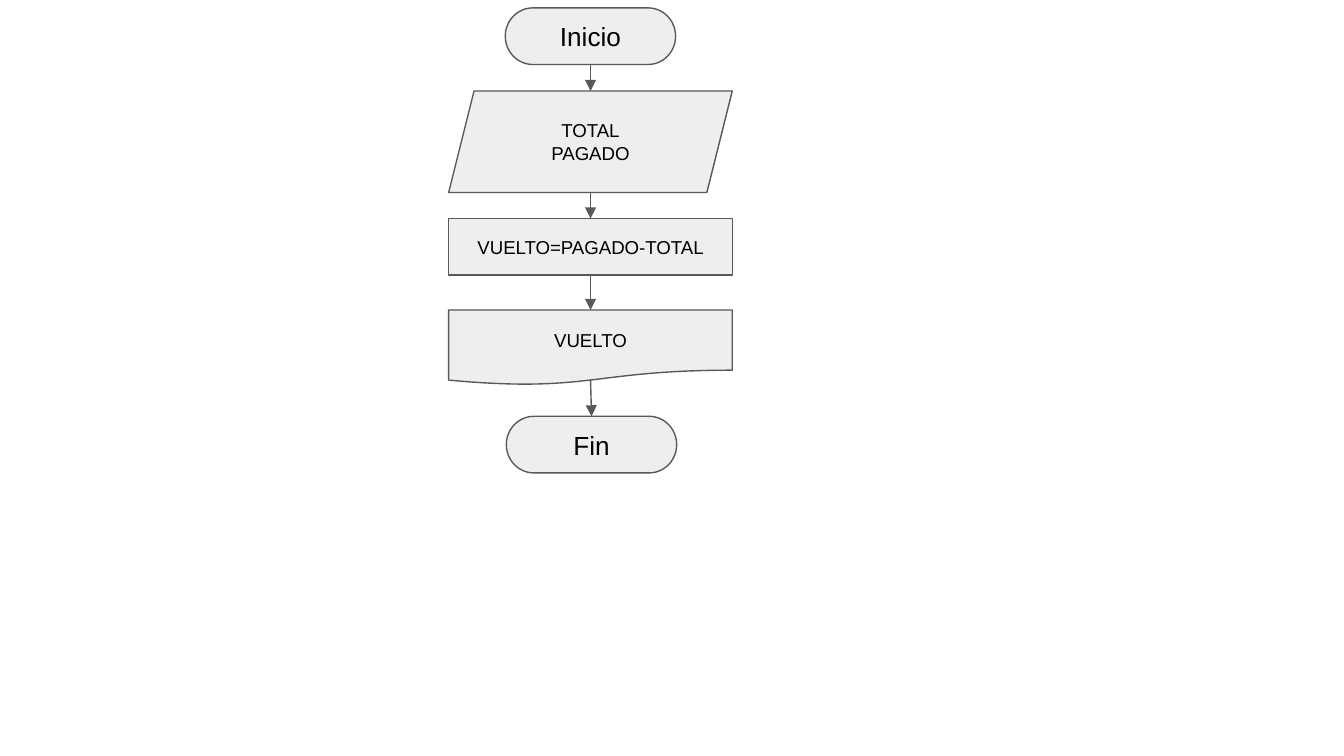
from lxml import etree
from pptx import Presentation, util as u
from pptx.dml.color import RGBColor
from pptx.enum import shapes, text
from pptx.oxml.ns import qn

THEME = {
    "font": "Arial",
    "fill": RGBColor.from_string("EEEEEE"),
    "line": RGBColor.from_string("595959"),
    "ink": RGBColor.from_string("000000"),
    "line_width": u.Pt(0.75),
    "terminal_size": u.Pt(14),
    "step_size": u.Pt(10),
}

# Centimetres
SLIDE_SIZE = (25.4, 14.29)
INSET = 0.25
WIDTHS = {"terminal": 3.22, "step": 5.36}
DOCUMENT_EXIT = 0.93  # share of the height where the wavy edge crosses the centre

KIND = shapes.MSO_SHAPE
# preset, role, lines, centre x, top, height
STEPS = [
    (KIND.FLOWCHART_TERMINATOR, "terminal", ["Inicio"], 11.16, 0.15, 1.07),
    (KIND.PARALLELOGRAM, "step", ["TOTAL", "PAGADO"], 11.16, 1.72, 1.92),
    (KIND.RECTANGLE, "step", ["VUELTO=PAGADO-TOTAL"], 11.16, 4.13, 1.07),
    (KIND.FLOWCHART_DOCUMENT, "step", ["VUELTO"], 11.16, 5.86, 1.42),
    (KIND.FLOWCHART_TERMINATOR, "terminal", ["Fin"], 11.18, 7.87, 1.07),
]


def style_line(line):
    line.color.rgb = THEME["line"]
    line.width = THEME["line_width"]


def add_step(slide, preset, role, lines, center, top, height):
    width = WIDTHS[role]
    step = slide.shapes.add_shape(
        preset, u.Cm(center - width / 2), u.Cm(top), u.Cm(width), u.Cm(height))
    step.shadow.inherit = False
    step.fill.solid()
    step.fill.fore_color.rgb = THEME["fill"]
    style_line(step.line)

    frame = step.text_frame
    frame.word_wrap = True
    frame.vertical_anchor = text.MSO_ANCHOR.MIDDLE
    frame.margin_left = frame.margin_right = u.Cm(INSET)
    frame.margin_top = frame.margin_bottom = u.Cm(INSET)
    for index, label in enumerate(lines):
        paragraph = frame.add_paragraph() if index else frame.paragraphs[0]
        paragraph.alignment = text.PP_ALIGN.CENTER
        run = paragraph.add_run()
        run.text = label
        run.font.name = THEME["font"]
        run.font.size = THEME[f"{role}_size"]
        run.font.color.rgb = THEME["ink"]


def add_arrow(slide, start, end):
    arrow = slide.shapes.add_connector(
        shapes.MSO_CONNECTOR.STRAIGHT, *map(u.Cm, start + end))
    style_line(arrow.line)
    outline = arrow.line._get_or_add_ln()
    etree.SubElement(outline, qn("a:tailEnd"), type="triangle", w="med", len="med")
    etree.SubElement(arrow._element.spPr, qn("a:effectLst"))


def exit_point(preset, role, lines, center, top, height):
    share = DOCUMENT_EXIT if preset == KIND.FLOWCHART_DOCUMENT else 1
    return center, top + height * share


def entry_point(preset, role, lines, center, top, height):
    return center, top


def main():
    deck = Presentation()
    deck.slide_width, deck.slide_height = map(u.Cm, SLIDE_SIZE)
    slide = deck.slides.add_slide(deck.slide_layouts[6])
    for step in STEPS:
        add_step(slide, *step)
    for before, after in zip(STEPS, STEPS[1:]):
        add_arrow(slide, exit_point(*before), entry_point(*after))
    deck.save("out.pptx")


if __name__ == "__main__":
    main()
